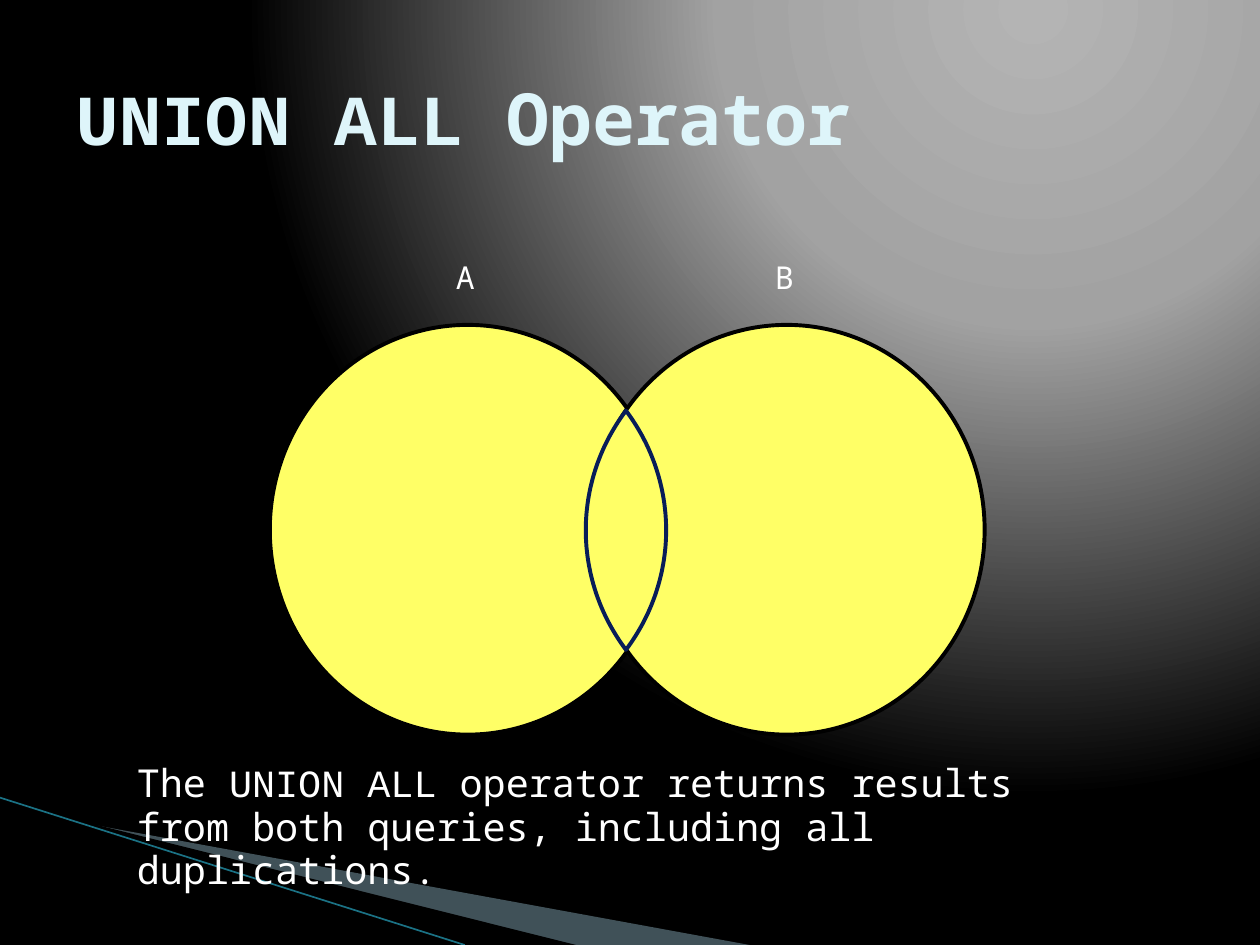
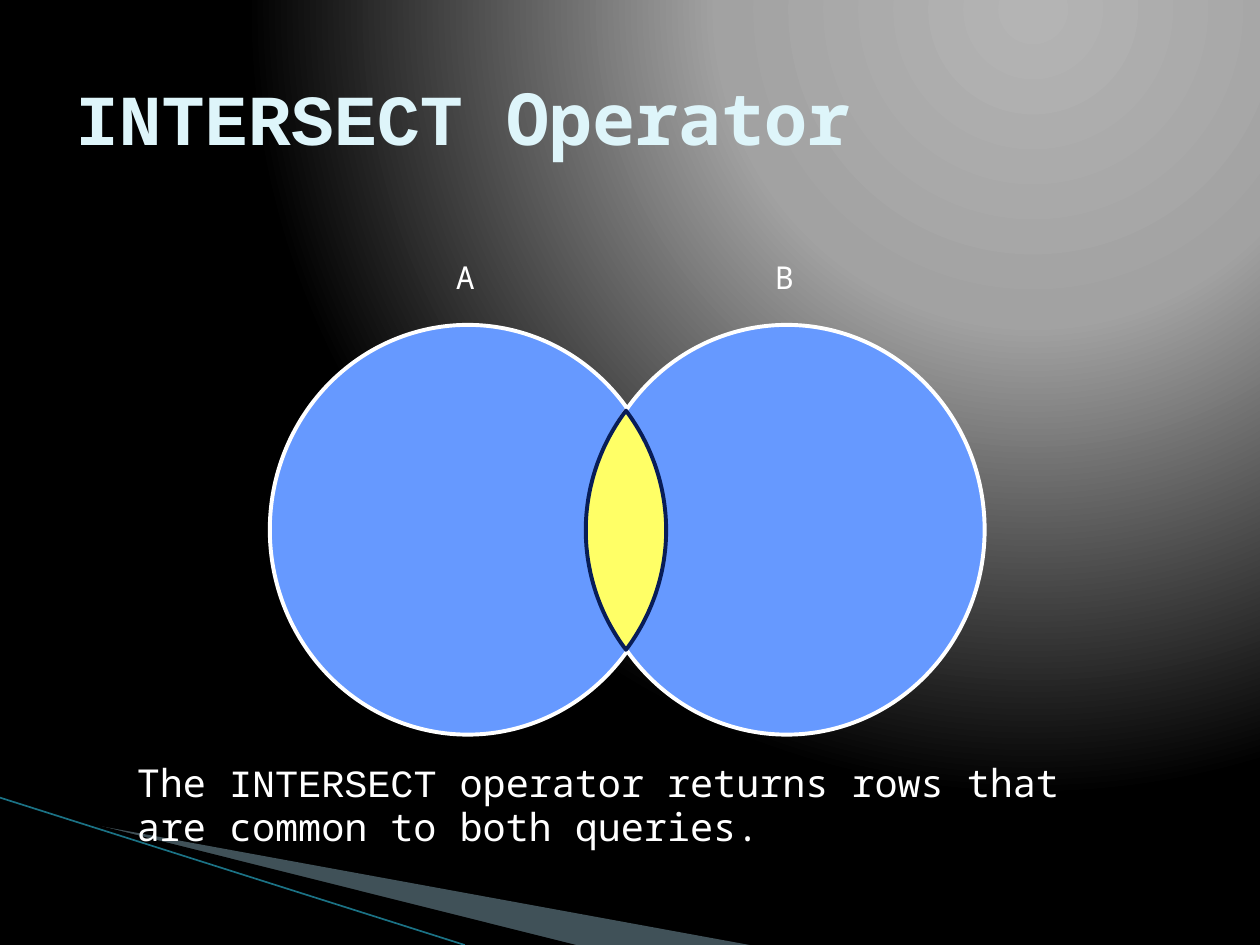
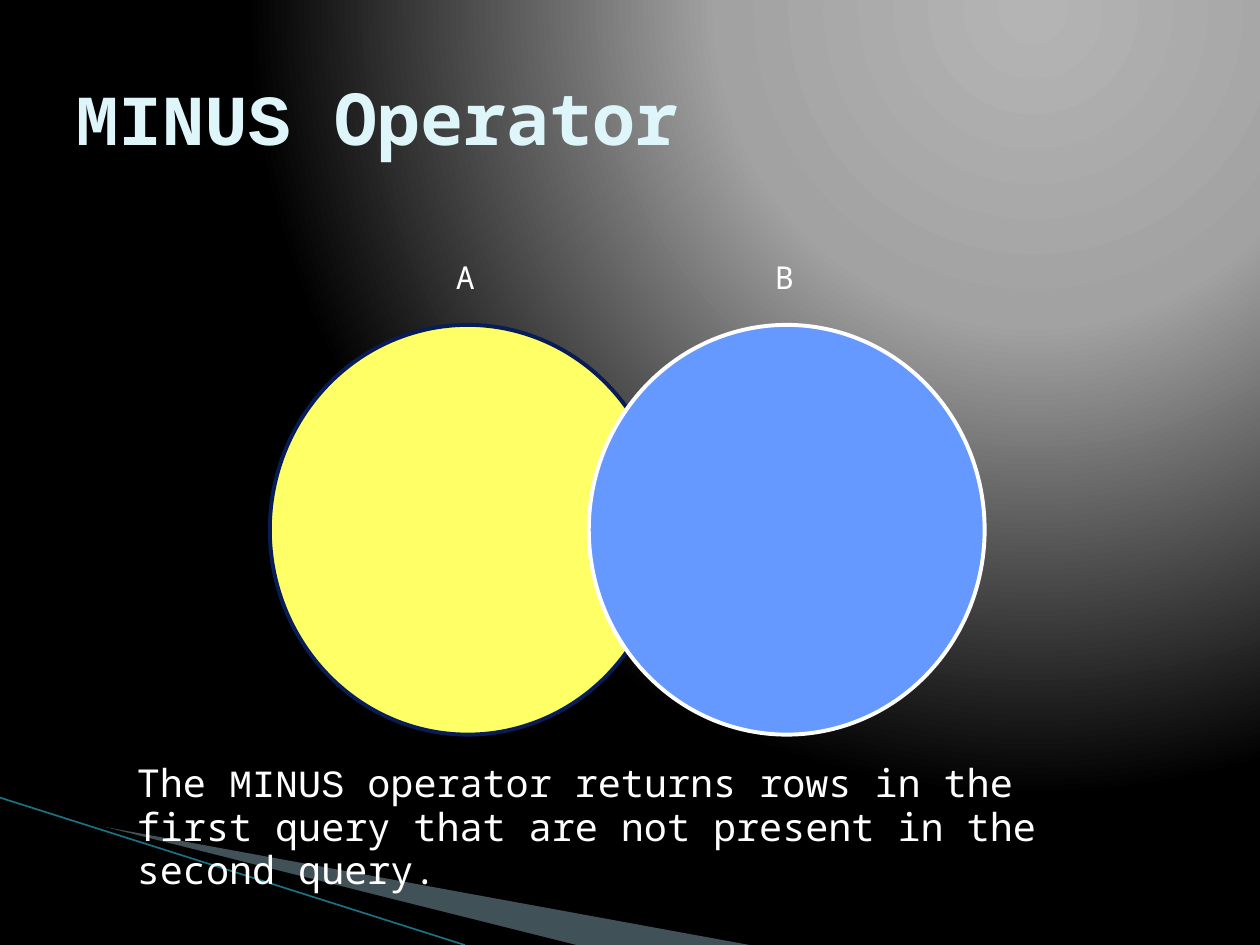
from dataclasses import dataclass
from math import asin, cos, sin

from lxml.etree import SubElement
from pptx import Presentation
from pptx.dml.color import RGBColor
from pptx.enum.shapes import MSO_CONNECTOR, MSO_SHAPE
from pptx.enum.text import MSO_ANCHOR, MSO_AUTO_SIZE, PP_ALIGN
from pptx.oxml import parse_xml
from pptx.oxml.ns import qn
from pptx.util import Cm, Pt


@dataclass(frozen=True)
class Theme:
    """Colours, fonts and type sizes shared by all slides."""
    title: str = "DEF5FA"
    text: str = "FFFFFF"
    black: str = "000000"
    navy: str = "081D58"
    yellow: str = "FFFF66"
    blue: str = "6699FF"
    wedge: str = "A0CBDC"
    rule: str = "1B7285"
    glow: tuple = ((0, "B4B4B4"), (40, "A2A2A2"), (100, "000000"))
    keyword_font: str = "Courier New"
    font: str = "Noto Sans Mono"
    title_size: int = 41
    body_size: int = 22
    label_size: int = 18
    outline: float = 2.25


theme = Theme()


def write(para, texts, size, color, bold=False):
    """Add (text, font) spans of one size and colour to a paragraph."""
    for text, font in texts:
        span = para.add_run()
        span.text = text
        span.font.color.rgb = RGBColor.from_string(color)
        values = {"name": font, "size": Pt(size), "bold": bold}
        for name, value in values.items():
            setattr(span.font, name, value)


def paint(shape, fill, line=None):
    """Give a shape a flat fill and an optional outline, without shadow."""
    shape.shadow.inherit = False
    shape.fill.solid()
    shape.fill.fore_color.rgb = RGBColor.from_string(fill)
    if line:
        shape.line.color.rgb = RGBColor.from_string(line)
        shape.line.width = Pt(theme.outline)
    else:
        shape.line.fill.background()


deck = Presentation()
deck.slide_width, deck.slide_height = Cm(25.4), Cm(19.05)
master = deck.slide_master
layout = deck.slide_layouts.get_by_name("Title Only")

# Background: a glow in the upper right corner
master.background.fill.gradient()
stops = "".join(
    f'<a:gs pos="{place * 1000}"><a:srgbClr val="{color}"/></a:gs>'
    for place, color in theme.glow)
glow = parse_xml(
    '<a:gradFill xmlns:a="http://schemas.openxmlformats.org/drawingml/2006/main"'
    f' rotWithShape="1"><a:gsLst>{stops}</a:gsLst><a:path path="circle">'
    '<a:fillToRect l="65000" b="98000"/></a:path></a:gradFill>')
old_fill = master.element.find(".//" + qn("p:bgPr") + "/" + qn("a:gradFill"))
old_fill.getparent().replace(old_fill, glow)

# Title frame
title_frame = {"left": Cm(1.27), "top": Cm(0.76),
               "width": Cm(22.86), "height": Cm(3.18)}
for name, value in title_frame.items():
    setattr(layout.placeholders[0], name, value)

# Each slide: operator, explanation, (fill, line) of A and of B, lens shown
yellow_black = (theme.yellow, theme.black)
blue_white = (theme.blue, theme.text)
operators = [
    ("UNION ALL",
     " operator returns results from both queries, including all duplications.",
     (yellow_black, yellow_black), True),
    ("INTERSECT", " operator returns rows that are common to both queries.",
     (blue_white, blue_white), True),
    ("MINUS",
     " operator returns rows in the first query that are not present"
     " in the second query.",
     ((theme.yellow, theme.navy), blue_white), False),
]

# Lens: two mirrored arcs round its centre
lens_x, lens_y, lens_half_width, lens_half_height = 12.62, 10.69, 0.81, 2.41
arc_end, arc_steps = asin(0.59), 30
arc = []
for step in range(-arc_steps, arc_steps + 1):
    angle = arc_end * step / arc_steps
    arc.append((lens_half_width * (cos(angle) - cos(arc_end)) / (1 - cos(arc_end)),
                lens_half_height * sin(angle) / sin(arc_end)))
lens_points = ([(lens_x + x, lens_y + y) for x, y in arc]
               + [(lens_x - x, lens_y - y) for x, y in arc[1:-1]])

circle_step = 6.43

for operator, explanation, circles, has_lens in operators:
    page = deck.slides.add_slide(layout)
    shapes = page.shapes

    frame = shapes.title.text_frame
    for name, value in {"vertical_anchor": MSO_ANCHOR.MIDDLE,
                        "auto_size": MSO_AUTO_SIZE.NONE}.items():
        setattr(frame, name, value)
    para = frame.paragraphs[0]
    para.alignment = PP_ALIGN.LEFT
    write(para, [(operator, theme.keyword_font), (" Operator", theme.font)],
          theme.title_size, theme.title, bold=True)

    for index, (letter, colors) in enumerate(zip("AB", circles)):
        shift = index * circle_step
        circle = shapes.add_shape(MSO_SHAPE.OVAL, Cm(5.44 + shift), Cm(6.55),
                                  Cm(7.98), Cm(8.26))
        paint(circle, *colors)
        label = shapes.add_textbox(Cm(8.94 + shift), Cm(5.08), Cm(0.97), Cm(1.02))
        label.text_frame.word_wrap = False
        label.text_frame.auto_size = MSO_AUTO_SIZE.SHAPE_TO_FIT_TEXT
        write(label.text_frame.paragraphs[0], [(letter, theme.font)],
              theme.label_size, theme.text)

    box = shapes.add_textbox(Cm(2.51), Cm(15.24), Cm(20.19), Cm(2.03))
    box.text_frame.word_wrap = True
    box.text_frame.auto_size = MSO_AUTO_SIZE.SHAPE_TO_FIT_TEXT
    para = box.text_frame.paragraphs[0]
    para.line_spacing = 0.95
    write(para, [("The ", theme.font), (operator, theme.keyword_font),
                 (explanation, theme.font)], theme.body_size, theme.text)

    if has_lens:
        points = [(Cm(x), Cm(y)) for x, y in lens_points]
        builder = shapes.build_freeform(*points[0])
        builder.add_line_segments(points[1:], close=True)
        paint(builder.convert_to_shape(), theme.yellow, theme.navy)

# Corner decoration: drawn on the last page, then moved to the master
wedges = [
    (theme.wedge, 40, [(1.4, 16.54), (15.11, 19.05), (11.58, 19.05), (1.4, 16.51)]),
    (theme.black, 100, [(1.35, 16.48), (11.61, 19.05), (9.45, 19.05), (1.37, 16.51)]),
]
decoration = []
for color, opacity, corners in wedges:
    points = [(Cm(x), Cm(y)) for x, y in corners]
    builder = shapes.build_freeform(*points[0])
    builder.add_line_segments(points[1:], close=True)
    wedge = builder.convert_to_shape()
    paint(wedge, color)
    if opacity < 100:
        tint = wedge.element.spPr.find(qn("a:solidFill") + "/" + qn("a:srgbClr"))
        SubElement(tint, qn("a:alpha"), val=str(opacity * 1000))
    decoration.append(wedge)

rule = shapes.add_connector(MSO_CONNECTOR.STRAIGHT, Cm(0), Cm(16.08),
                            Cm(9.37), Cm(19.05))
rule.line.color.rgb = RGBColor.from_string(theme.rule)
rule.line.width = Pt(0.95)
SubElement(rule.element.spPr, qn("a:effectLst"))
decoration.append(rule)

master_tree = master.shapes.element
for place, shape in enumerate(decoration, start=2):
    shape.element.find(".//" + qn("p:cNvPr")).set("id", str(100 + place))
    master_tree.insert(place, shape.element)

deck.save("out.pptx")
